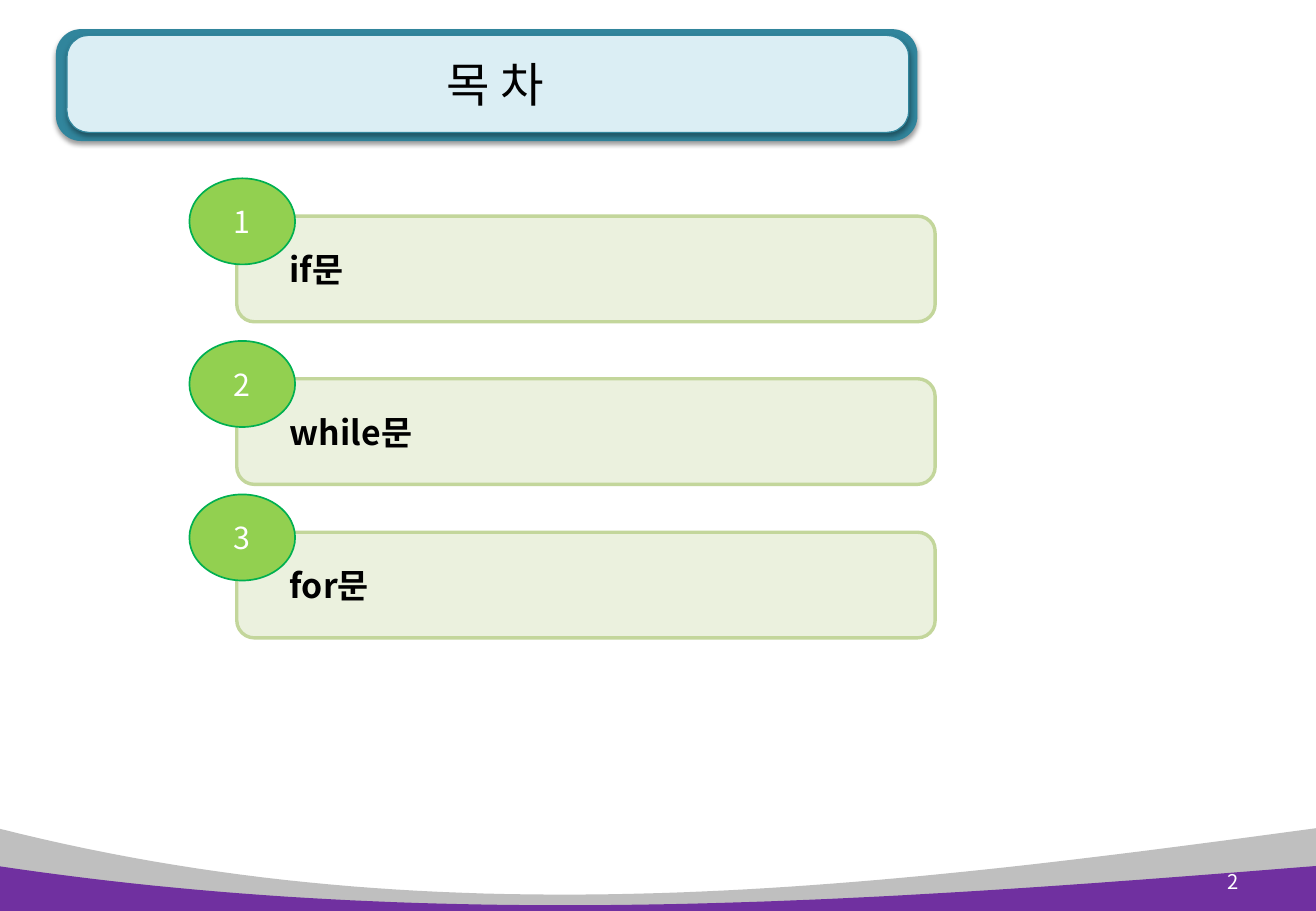
from lxml import etree
from pptx import Presentation
from pptx.dml.color import RGBColor as RGB
from pptx.enum.shapes import MSO_SHAPE as Kind
from pptx.enum.text import MSO_ANCHOR as Anchor, PP_ALIGN as Align
from pptx.oxml import parse_xml
from pptx.oxml.ns import nsdecls, qn
from pptx.util import Cm, Pt

FACE = "Noto Sans CJK KR"
BLACK = RGB(0x00, 0x00, 0x00)
WHITE = RGB(0xFF, 0xFF, 0xFF)
GRAY = RGB(0xBF, 0xBF, 0xBF)
PURPLE = RGB(0x70, 0x30, 0xA0)
TEAL = RGB(0x31, 0x85, 0x9C)
PALE = RGB(0xDB, 0xEE, 0xF4)
CREAM = RGB(0xEB, 0xF1, 0xDE)
OLIVE = RGB(0xC3, 0xD6, 0x9B)
LIME = RGB(0x92, 0xD0, 0x50)
GREEN = RGB(0x00, 0xB0, 0x50)

WIDE, HIGH = 27.51, 19.05
ITEMS = [("if문", 3.73), ("while문", 7.13), ("for문", 10.34)]


def paint(shape, fill, line=None, width=0):
    shape.shadow.inherit = False
    shape.fill.solid()
    shape.fill.fore_color.rgb = fill
    if line is None:
        shape.line.fill.background()
    else:
        shape.line.color.rgb = line
        shape.line.width = Pt(width)


def write(shape, text, size, color, align, bold=False):
    frame = shape.text_frame
    frame.word_wrap = True
    frame.vertical_anchor = Anchor.MIDDLE
    para = frame.paragraphs[0]
    para.text = text
    para.alignment = align
    font = para.font
    font.name, font.size, font.bold = FACE, Pt(size), bold
    font.color.rgb = color
    # East Asian face for the Korean letters
    props = para.runs[0].font
    props.name = FACE
    latin = para.runs[0]._r.rPr.find(qn("a:latin"))
    east = etree.Element(qn("a:ea"), typeface=FACE)
    latin.addnext(east)


def shade(shape):
    effects = shape._element.spPr.find(qn("a:effectLst"))
    effects.append(parse_xml(
        f'<a:outerShdw {nsdecls("a")} blurRad="39370" dist="20320" '
        'dir="5400000" rotWithShape="0"><a:srgbClr val="000000">'
        '<a:alpha val="38000"/></a:srgbClr></a:outerShdw>'))


def add_wave(slide, heights, base, color):
    """Fill the area between a cubic curve and a base line."""
    across = (-0.05, 9.27, 18.29, WIDE)

    def blend(ends, t):
        u = 1 - t
        a, b, c, d = ends
        return Cm(u**3 * a + 3 * u * u * t * b + 3 * u * t * t * c + t**3 * d)

    steps = 60
    curve = [(blend(across, i / steps), blend(heights, i / steps))
             for i in range(steps + 1)]
    build = slide.shapes.build_freeform(*curve[0])
    build.add_line_segments(
        curve[1:] + [(Cm(WIDE), Cm(base)), (Cm(across[0]), Cm(base))], close=True)
    paint(build.convert_to_shape(), color)


def add_title(slide, x, y, w, h):
    # Outer frame and inner panel
    for box, fill, line in (
        ((x, y, w, h), TEAL, None),
        ((x + 0.23, y + 0.13, w - 0.41, h - 0.31), PALE, TEAL),
    ):
        panel = slide.shapes.add_shape(Kind.ROUNDED_RECTANGLE, *map(Cm, box))
        panel.adjustments[0] = 0.225
        paint(panel, fill, line, 0.75)
        shade(panel)
    # Title text in front of the panel
    title = slide.shapes.title
    title.left, title.top = Cm(x + 0.58), Cm(y - 0.05)
    title.width, title.height = Cm(w - 0.79), Cm(h + 0.05)
    write(title, "목 차", 28, BLACK, Align.CENTER)
    slide.shapes._spTree.append(title._element)


def add_item(slide, x, y, number, text):
    bar = slide.shapes.add_shape(
        Kind.ROUNDED_RECTANGLE, Cm(x + 0.99), Cm(y + 0.79), Cm(14.6), Cm(2.21))
    paint(bar, CREAM, OLIVE, 2)
    write(bar, text, 20, BLACK, Align.LEFT, True)
    bar.text_frame.margin_left = Cm(1)
    badge = slide.shapes.add_shape(Kind.OVAL, Cm(x), Cm(y), Cm(2.21), Cm(1.8))
    paint(badge, LIME, GREEN, 1)
    write(badge, str(number), 18, WHITE, Align.CENTER)


def add_page(slide, x, y, w, h):
    box = slide.shapes.add_textbox(Cm(x), Cm(y), Cm(w), Cm(h))
    write(box, "2", 12, WHITE, Align.RIGHT)


def main():
    deck = Presentation()
    deck.slide_width, deck.slide_height = Cm(WIDE), Cm(HIGH)
    slide = deck.slides.add_slide(deck.slide_layouts[5])
    # Footer waves
    add_wave(slide, (17.32, 19.69, 18.57, 17.32), HIGH, GRAY)
    add_wave(slide, (18.11, 19.51, 18.85, 18.11), 19.13, PURPLE)
    add_title(slide, 1.17, 0.61, 18.01, 2.34)
    add_page(slide, 24.59, 17.93, 1.55, 1.02)
    # Contents list
    for number, (text, top) in enumerate(ITEMS, 1):
        add_item(slide, 3.96, top, number, text)
    deck.save("out.pptx")


if __name__ == "__main__":
    main()
